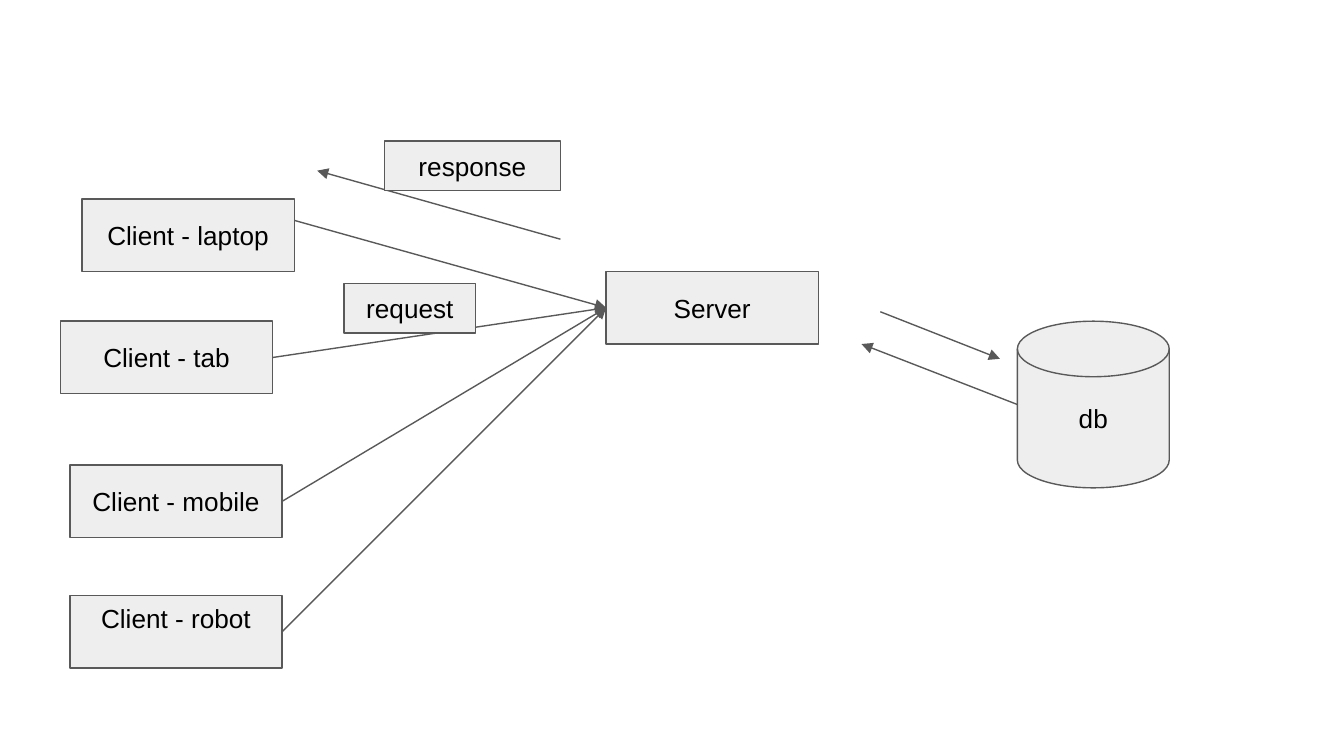
from pptx import Presentation
from pptx.dml.color import RGBColor
from pptx.enum.shapes import MSO_CONNECTOR, MSO_SHAPE
from pptx.enum.text import MSO_ANCHOR, PP_ALIGN
from pptx.oxml.ns import qn
from pptx.util import Inches, Pt
from lxml import etree

RECT = MSO_SHAPE.RECTANGLE
DISK = MSO_SHAPE.FLOWCHART_MAGNETIC_DISK
STRAIGHT = MSO_CONNECTOR.STRAIGHT
TOP, MIDDLE = MSO_ANCHOR.TOP, MSO_ANCHOR.MIDDLE
CENTER = PP_ALIGN.CENTER
LEFT_SIDE, RIGHT_SIDE = 1, 3

FILL, LINE, INK = "EEEEEE", "595959", "000000"
FONT, SIZE, LINE_WIDTH = "Arial", 14, 0.75
INSET = 0.1
NODE_W, NODE_H, LABEL_H = 1.58, 0.54, 0.37

# Content: text, left, top
SERVER = ("Server", 4.51, 2.02)
FIRST_CLIENT = ("Client - laptop", 0.61, 1.48)
CLIENTS = [
    ("Client - tab", 0.45, 2.39),
    ("Client - mobile", 0.52, 3.46),
]
LAST_CLIENT = ("Client - robot", 0.52, 4.43)
# Labels: text, left, top, width
LABELS = [("request", 2.56, 2.11, 0.98), ("response", 2.86, 1.05, 1.31)]
DATABASE = ("db", 7.57, 2.39, 1.13, 1.24)
# Free arrows: start, end
FIRST_REQUEST_START = (2.19, 1.64)
FREE_ARROWS = [
    ((4.17, 1.78), (2.36, 1.27)),  # response
    ((6.55, 2.32), (7.44, 2.67)),  # query
    ((7.57, 3.01), (6.41, 2.56)),  # result
]


def colour(hex_string):
    return RGBColor.from_string(hex_string)


def add_box(slide, text, left, top, width=NODE_W, height=NODE_H,
            preset=RECT, anchor=MIDDLE, inset_top=INSET):
    box = slide.shapes.add_shape(
        preset, Inches(left), Inches(top), Inches(width), Inches(height))
    box.shadow.inherit = False
    box.fill.solid()
    box.fill.fore_color.rgb = colour(FILL)
    box.line.color.rgb = colour(LINE)
    box.line.width = Pt(LINE_WIDTH)
    frame = box.text_frame
    frame.word_wrap = True
    frame.vertical_anchor = anchor
    frame.margin_left = frame.margin_right = frame.margin_bottom = Inches(INSET)
    frame.margin_top = Inches(inset_top)
    paragraph = frame.paragraphs[0]
    paragraph.text = text
    paragraph.alignment = CENTER
    paragraph.font.name = FONT
    paragraph.font.size = Pt(SIZE)
    paragraph.font.color.rgb = colour(INK)
    return box


def add_arrow(slide, start=(0, 0), end=(0, 0)):
    arrow = slide.shapes.add_connector(
        STRAIGHT, *(Inches(value) for value in (*start, *end)))
    arrow.line.color.rgb = colour(LINE)
    arrow.line.width = Pt(LINE_WIDTH)
    head = etree.SubElement(arrow.line._get_or_add_ln(), qn("a:tailEnd"))
    head.set("type", "triangle")
    etree.SubElement(arrow._element.spPr, qn("a:effectLst"))
    return arrow


def main():
    # Widescreen slide, 16 to 9
    deck = Presentation()
    deck.slide_width = Inches(10)
    deck.slide_height = deck.slide_width * 9 // 16
    slide = deck.slides.add_slide(deck.slide_layouts[6])

    # Server and clients; the last client's text sits near the top
    server = add_box(slide, *SERVER)
    add_box(slide, *FIRST_CLIENT)
    clients = [add_box(slide, *client) for client in CLIENTS]
    clients.append(add_box(slide, *LAST_CLIENT, anchor=TOP, inset_top=0.05))

    # Requests to the server
    add_arrow(slide, FIRST_REQUEST_START).end_connect(server, LEFT_SIDE)
    for client in clients:
        request = add_arrow(slide)
        request.begin_connect(client, RIGHT_SIDE)
        request.end_connect(server, LEFT_SIDE)

    # Database and remaining arrows
    add_box(slide, *DATABASE, preset=DISK)
    for start, end in FREE_ARROWS:
        add_arrow(slide, start, end)

    # Labels over the arrows
    for text, left, top, width in LABELS:
        add_box(slide, text, left, top, width, LABEL_H)

    deck.save("out.pptx")


if __name__ == "__main__":
    main()
